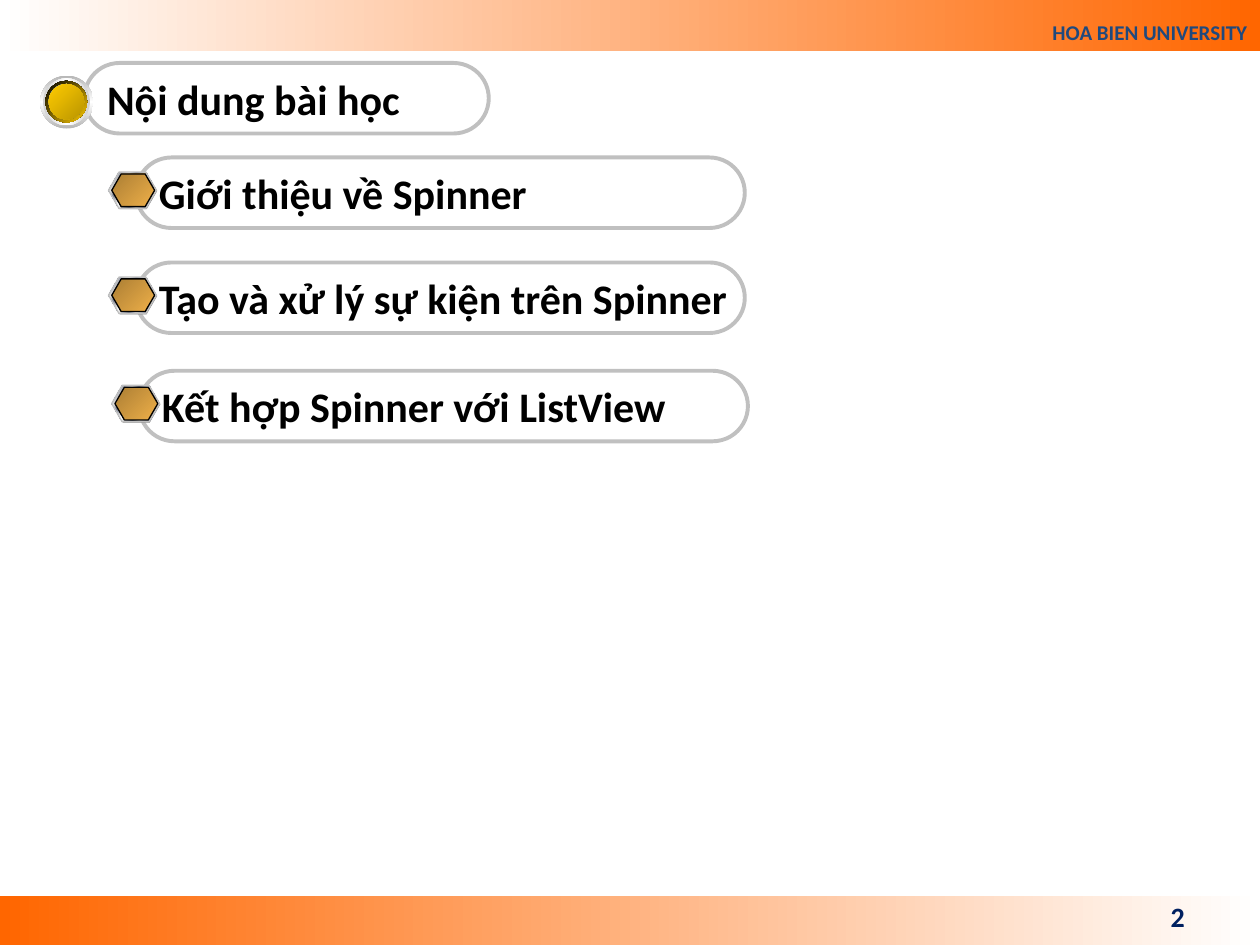
from dataclasses import dataclass

from lxml import etree
from pptx import Presentation
from pptx.dml.color import RGBColor
from pptx.enum.shapes import MSO_SHAPE
from pptx.enum.text import MSO_ANCHOR, PP_ALIGN
from pptx.oxml.ns import qn
from pptx.util import Pt

RECTANGLE = MSO_SHAPE.RECTANGLE
PILL = MSO_SHAPE.ROUNDED_RECTANGLE
OVAL = MSO_SHAPE.OVAL
HEXAGON = MSO_SHAPE.HEXAGON
BOTTOM, MIDDLE = MSO_ANCHOR.BOTTOM, MSO_ANCHOR.MIDDLE
LEFT, RIGHT = PP_ALIGN.LEFT, PP_ALIGN.RIGHT

COLORS = {
    "white": "FFFFFF",
    "black": "000000",
    "orange": "FF6600",
    "school": "1F497D",
    "number": "002060",
    "outline": "C0C0C0",
    "shade": "808080",
    "rim": "B6B6B6",
    "inner_rim": "D1D1D1",
    "blue": "6699FF",
    "deep_blue": "4E75C3",
    "gold": "FFCC00",
    "deep_gold": "BA9500",
    "steel": "7D8496",
    "silver": "E6E6E6",
    "bronze": "AB7E34",
    "amber": "EFB049",
}
FONT = "Calibri"
SLIDE_WIDTH, SLIDE_HEIGHT = 720, 540
PILL_HEIGHT = 40.32


@dataclass(frozen=True)
class Box:
    left: float
    top: float
    width: float
    height: float

    def lengths(self) -> tuple:
        return Pt(self.left), Pt(self.top), Pt(self.width), Pt(self.height)


@dataclass(frozen=True)
class Gradient:
    stops: tuple
    angle: int = 0


@dataclass(frozen=True)
class Ring:
    inset: float
    size: float
    fill: Gradient


@dataclass(frozen=True)
class Facet:
    dx: float
    dy: float
    width: float
    height: float
    fill: Gradient | str
    line: str | None = None


@dataclass(frozen=True)
class Topic:
    text: str
    left: float
    top: float


def even(angle: int, *names: str) -> Gradient:
    return Gradient(tuple((100 * i / (len(names) - 1), n) for i, n in enumerate(names)), angle)


METAL = Gradient((
    (0, "silver"), (7, "steel"), (26, "silver"), (34, "steel"), (46, "silver"), (50, "white"),
    (54, "silver"), (66, "steel"), (74, "silver"), (93, "steel"), (100, "silver"),
), 45)
RINGS = (
    Ring(0, 30.24, even(90, "rim", "white", "rim")),
    Ring(1.6, 26.8, even(0, "inner_rim", "white", "inner_rim")),
    Ring(3, 23.8, even(45, "white", "blue", "white")),
    Ring(3, 23.8, even(45, "black", "gold")),
    Ring(4.8, 20.3, even(315, "deep_blue", "blue", "deep_blue")),
    Ring(4.8, 20.3, even(45, "gold", "deep_gold")),
)
FACETS = (
    Facet(-15.4, 8.7, 27.4, 20.9, "shade"),
    Facet(-15.8, 8.3, 27.4, 20.9, METAL, "outline"),
    Facet(-13.9, 9.4, 24.5, 18.7, even(45, "bronze", "amber"), "black"),
)
TOPICS = (
    Topic("Giới thiệu về Spinner", 77.8, 90),
    Topic("Tạo và xử lý sự kiện trên Spinner", 77.8, 150),
    Topic("Kết hợp Spinner với ListView", 79.6, 211.9),
)


def rgb(name: str) -> RGBColor:
    return RGBColor.from_string(COLORS[name])


def paint(fill, paint_style: Gradient | str | None, stop_list_of) -> None:
    if paint_style is None:
        fill.background()
    elif isinstance(paint_style, str):
        fill.solid()
        fill.fore_color.rgb = rgb(paint_style)
    else:
        fill.gradient()
        fill.gradient_angle = (360 - paint_style.angle) % 360
        stop_list = stop_list_of.find(".//" + qn("a:gsLst"))
        for old_stop in list(stop_list):
            stop_list.remove(old_stop)
        for position, name in paint_style.stops:
            stop = etree.SubElement(stop_list, qn("a:gs"), pos=str(round(position * 1000)))
            etree.SubElement(stop, qn("a:srgbClr"), val=COLORS[name])


def draw(shapes, kind, box: Box, fill=None, line: str | None = None, weight: float = 0.75):
    shape = shapes.add_shape(kind, *box.lengths())
    shape.shadow.inherit = False
    paint(shape.fill, fill, shape.element.spPr)
    if line:
        shape.line.color.rgb = rgb(line)
        shape.line.width = Pt(weight)
    else:
        shape.line.fill.background()
    return shape


def write(shape, text: str, size: float, color: str, align, anchor, wrap: bool = True) -> None:
    frame = shape.text_frame
    frame.text = text
    frame.word_wrap = wrap
    frame.vertical_anchor = anchor
    paragraph = frame.paragraphs[0]
    paragraph.alignment = align
    font = paragraph.runs[0].font
    font.name, font.size, font.bold = FONT, Pt(size), True
    font.color.rgb = rgb(color)


def draw_pill(shapes, text: str, left: float, top: float, width: float) -> None:
    pill = draw(shapes, PILL, Box(left, top, width, PILL_HEIGHT), line="outline", weight=2.25)
    pill.adjustments[0] = 0.5
    write(pill, text, 24, "black", LEFT, MIDDLE, wrap=False)


def draw_bullet(shapes, left: float, top: float) -> None:
    for ring in RINGS:
        draw(shapes, OVAL, Box(left + ring.inset, top + ring.inset, ring.size, ring.size), ring.fill)


def draw_topic(shapes, topic: Topic) -> None:
    draw_pill(shapes, topic.text, topic.left, topic.top, 347.8)
    for facet in FACETS:
        box = Box(topic.left + facet.dx, topic.top + facet.dy, facet.width, facet.height)
        draw(shapes, HEXAGON, box, facet.fill, facet.line).adjustments[0] = 0.289


def main() -> None:
    presentation = Presentation()
    presentation.slide_width, presentation.slide_height = Pt(SLIDE_WIDTH), Pt(SLIDE_HEIGHT)
    shapes = presentation.slides.add_slide(presentation.slide_layouts[6]).shapes

    draw(shapes, RECTANGLE, Box(0, 512, SLIDE_WIDTH, 28), even(0, "orange", "white"))
    header = draw(shapes, RECTANGLE, Box(0, -0.9, SLIDE_WIDTH, 30), even(0, "white", "orange"))
    write(header, "HOA BIEN UNIVERSITY", 12, "school", RIGHT, BOTTOM)
    header.text_frame.paragraphs[0].line_spacing = 1.8

    page_number = shapes.add_textbox(*Box(516, 509, 168, 28.8).lengths())
    write(page_number, "2", 16, "number", RIGHT, MIDDLE)

    draw_pill(shapes, "Nội dung bài học", 48.2, 36, 231.1)
    draw_bullet(shapes.add_group_shape().shapes, 23, 43.2)
    for topic in TOPICS:
        draw_topic(shapes.add_group_shape().shapes, topic)

    presentation.save("out.pptx")


if __name__ == "__main__":
    main()
